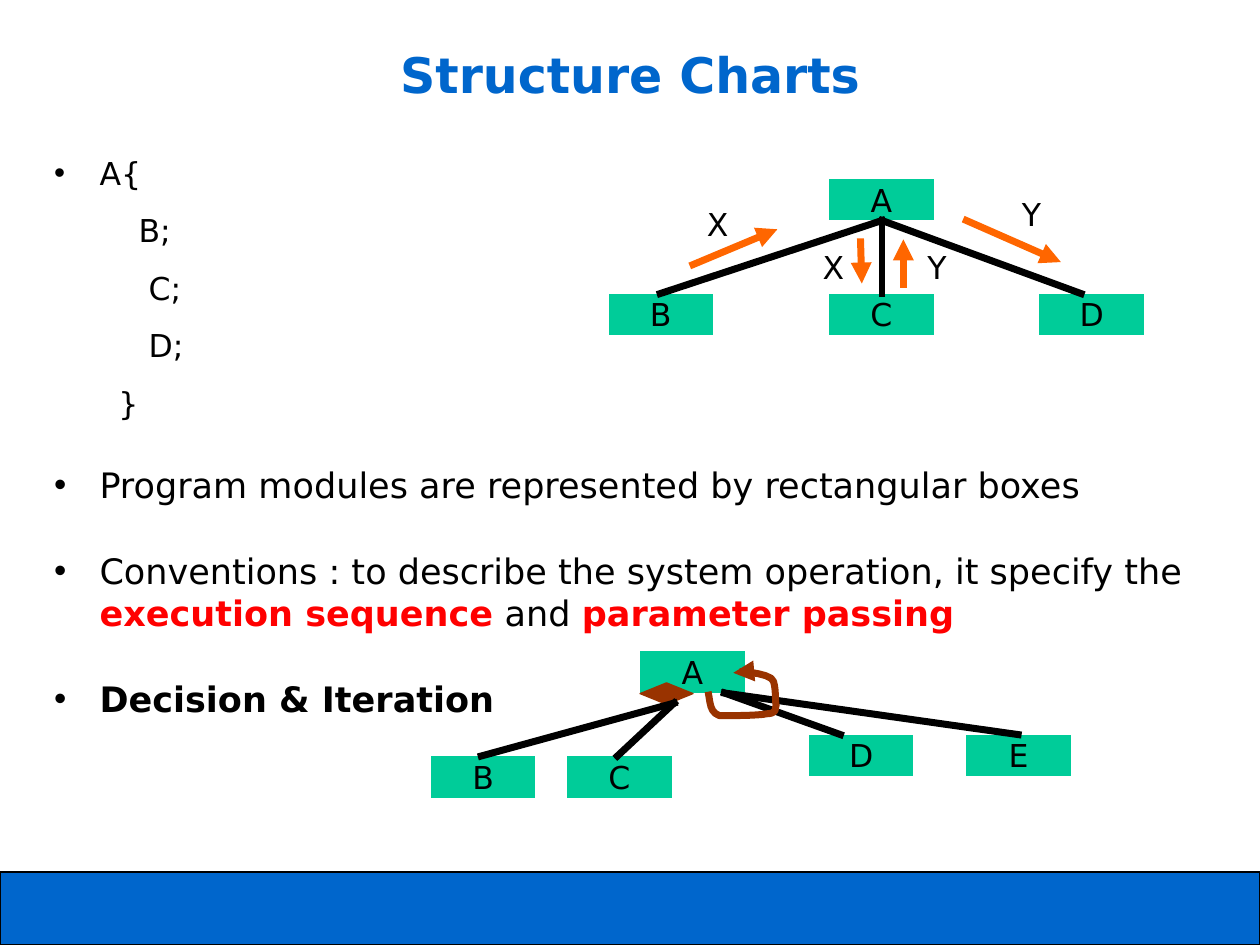
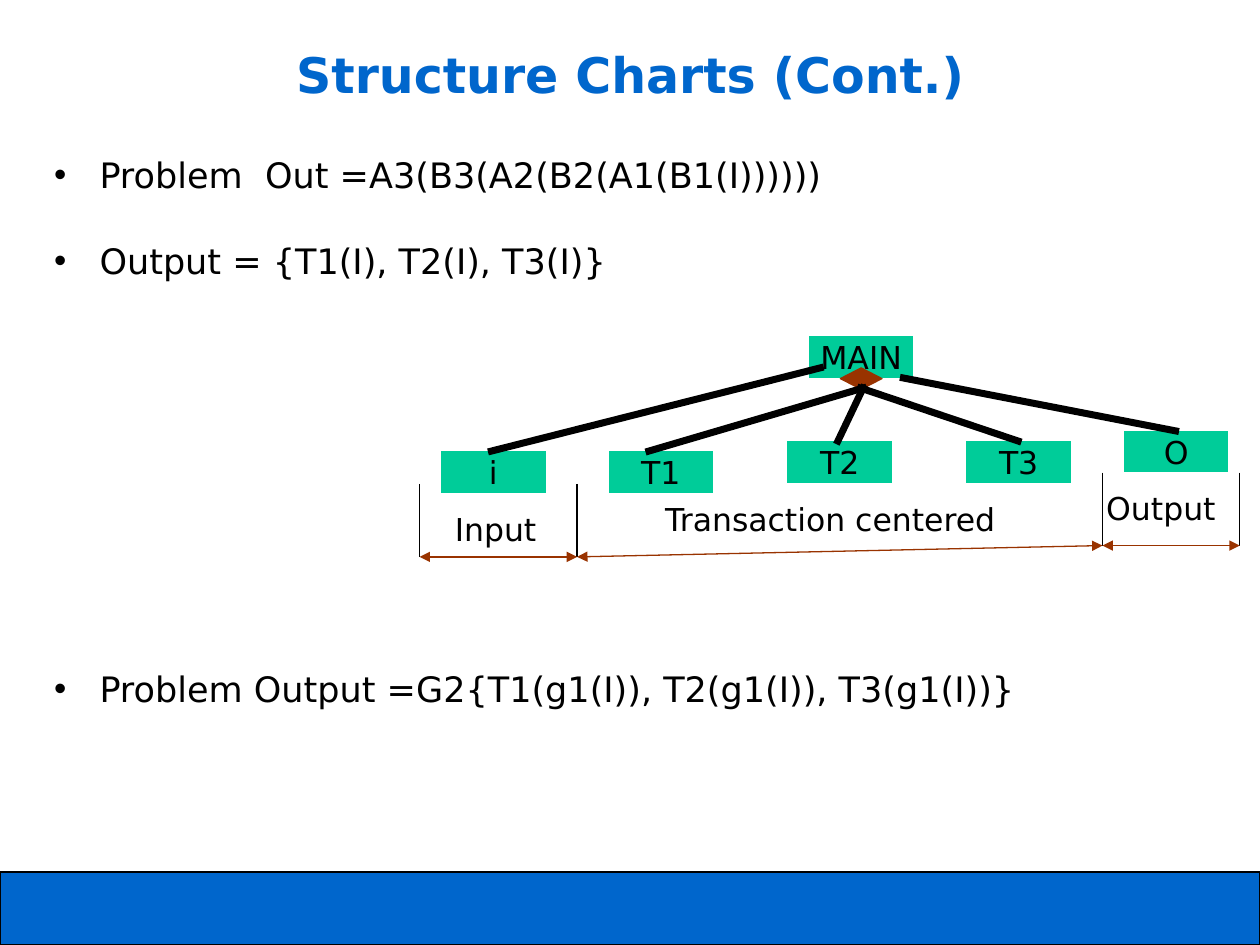
from itertools import pairwise

from lxml.etree import SubElement
from pptx import Presentation
from pptx.dml.color import RGBColor
from pptx.enum.shapes import MSO_CONNECTOR, MSO_SHAPE
from pptx.enum.text import MSO_ANCHOR, MSO_AUTO_SIZE, PP_ALIGN
from pptx.oxml.ns import qn
from pptx.util import Inches, Pt

FONT = "DejaVu Sans"
BLUE, GREEN, ORANGE, BROWN = "0066CC", "00CC99", "FF6600", "993300"
BLACK, RED = "000000", "FF0000"
THIN, THICK = 0.74, 4
MODULE_WIDTH, MODULE_HEIGHT = 0.83, 0.33

PLACEHOLDER_FRAME = {"vertical_anchor": MSO_ANCHOR.TOP, "word_wrap": True,
                     "auto_size": MSO_AUTO_SIZE.NONE}
MODULE_FRAME = {"vertical_anchor": MSO_ANCHOR.MIDDLE, "word_wrap": False}
LABEL_FRAME = {"word_wrap": True, "margin_left": Inches(0.11)}
CODE = {"space_before": Pt(5.6), "space_after": Pt(5.6), "level": 1}
CODE_HEAD = {"space_before": Pt(16.9), "space_after": Pt(5.6)}
POINT = {"space_before": Pt(18.7), "space_after": Pt(6.2)}
POINT_BELOW_CHART = {**POINT, "space_before": Pt(214.7)}


def color(value):
    return RGBColor.from_string(value)


def apply(target, values):
    for name, value in values.items():
        setattr(target, name, value)


def place(shape, left, top, width, height):
    apply(shape, {"left": Inches(left), "top": Inches(top),
                  "width": Inches(width), "height": Inches(height)})


def add_span(para, text, size=18, fill=BLACK, bold=False):
    span = para.add_run()
    span.text = text
    apply(span.font, {"name": FONT, "size": Pt(size), "bold": bold})
    span.font.color.rgb = color(fill)


def set_outline(shape, fill, width):
    shape.line.color.rgb = color(fill)
    shape.line.width = Pt(width)


def add_block(page, kind, bounds, fill, outline=None):
    block = page.shapes.add_shape(kind, *map(Inches, bounds))
    block.shadow.inherit = False
    block.fill.solid()
    block.fill.fore_color.rgb = color(fill)
    if outline:
        set_outline(block, outline, THIN)
    else:
        block.line.fill.background()
    return block


def add_module(page, name, left, top):
    bounds = (left, top, MODULE_WIDTH, MODULE_HEIGHT)
    box = add_block(page, MSO_SHAPE.FLOWCHART_PROCESS, bounds, GREEN)
    apply(box.text_frame, MODULE_FRAME)
    para = box.text_frame.paragraphs[0]
    para.alignment = PP_ALIGN.CENTER
    add_span(para, name)


def add_decision(page, left, top, width):
    bounds = (left, top, width, 0.17)
    add_block(page, MSO_SHAPE.FLOWCHART_DECISION, bounds, BROWN, BROWN)


def add_label(page, text, left, top, width=0.33):
    box = page.shapes.add_textbox(*map(Inches, (left, top, width, 0.4)))
    apply(box.text_frame, LABEL_FRAME)
    add_span(box.text_frame.paragraphs[0], text)


def add_line(page, start, end, fill=BLACK, width=THICK, arrows=()):
    line = page.shapes.add_connector(
        MSO_CONNECTOR.STRAIGHT, *map(Inches, (*start, *end)))
    set_outline(line, fill, width)
    outline = line.element.spPr.find(qn("a:ln"))
    if width == THICK:
        outline.set("cap", "sq")
    for arrow in arrows:
        SubElement(outline, qn(f"a:{arrow}"), type="triangle")
    SubElement(line.element.spPr, qn("a:effectLst"))


def curve_points(start, curves, steps=6):
    points = [start]
    for first, second, end in curves:
        origin = points[-1]
        for step in range(1, steps + 1):
            t = step / steps
            weights = ((1 - t) ** 3, 3 * t * (1 - t) ** 2, 3 * t * t * (1 - t), t ** 3)
            corners = (origin, first, second, end)
            points.append(tuple(sum(weight * corner[axis]
                                    for weight, corner in zip(weights, corners))
                                for axis in (0, 1)))
    return points


def add_iteration_loop(page):
    points = curve_points((5.62, 5.49), [
        ((5.64, 5.58), (5.63, 5.65), (5.71, 5.68)),
        ((5.83, 5.68), (5.95, 5.68), (6.06, 5.67)),
        ((6.09, 5.66), (6.12, 5.67), (6.14, 5.65)),
        ((6.16, 5.64), (6.15, 5.62), (6.16, 5.6)),
        ((6.15, 5.54), (6.16, 5.48), (6.14, 5.41)),
        ((6.13, 5.35), (5.92, 5.33), (5.87, 5.33)),
    ])
    start, *others = [(Inches(x), Inches(y)) for x, y in points]
    builder = page.shapes.build_freeform(*start)
    builder.add_line_segments(others, close=False)
    loop = builder.convert_to_shape()
    loop.shadow.inherit = False
    loop.fill.background()
    set_outline(loop, BROWN, THICK)
    add_line(page, (5.93, 5.33), (5.82, 5.34), BROWN, arrows=["tailEnd"])


def add_footer_band(deck, page):
    band = add_block(page, MSO_SHAPE.RECTANGLE, (0, 6.92, 10, 0.58), BLUE, BLACK)
    deck.slide_master.shapes.element.append(band.element)


def add_page(deck, title):
    page = deck.slides.add_slide(deck.slide_layouts[1])
    heading = page.shapes.title
    place(heading, 0.5, 0.3, 9, 0.78)
    apply(heading.text_frame, PLACEHOLDER_FRAME)
    para = heading.text_frame.paragraphs[0]
    para.alignment = PP_ALIGN.CENTER
    add_span(para, title, 28, BLUE, True)
    body = page.placeholders[1]
    place(body, 0.33, 1.17, 9.33, 5.58)
    apply(body.text_frame, PLACEHOLDER_FRAME)
    return page


def add_body_para(page, spans, values, size, margin=0.36, bullet=True):
    frame = page.placeholders[1].text_frame
    para = frame.paragraphs[0] if not frame.text else frame.add_paragraph()
    apply(para, values)
    properties = para._p.get_or_add_pPr()
    properties.set("marL", str(Inches(margin)))
    properties.set("indent", str(Inches(-0.36 if bullet else 0)))
    if not bullet:
        SubElement(properties, qn("a:buNone"))
    for text, *style in spans:
        add_span(para, text, size, *style)


def add_points(page, points, values=POINT):
    for spans in points:
        add_body_para(page, spans, values, 20)


def build_parameter_chart(page):
    add_module(page, "A", 6.58, 1.42)
    for name, left in (("D", 8.25), ("C", 6.58), ("B", 4.83)):
        add_module(page, name, left, 2.33)
    for left in (5.24, 7, 8.58):
        add_line(page, (7, 1.75), (left, 2.33))
    for start, end in (((5.5, 2.1), (6.17, 1.82)), ((6.83, 1.92), (6.84, 2.25)),
                       ((7.17, 2.26), (7.17, 1.9)), ((7.67, 1.75), (8.42, 2.08))):
        add_line(page, start, end, ORANGE, arrows=["tailEnd"])
    for text, left, top in (("X", 5.5, 1.58), ("X", 6.42, 1.92),
                            ("Y", 7.25, 1.92), ("Y", 8, 1.5)):
        add_label(page, text, left, top)


def build_decision_chart(page):
    for name, left, top in (("A", 5.08, 5.17), ("B", 3.42, 6), ("C", 4.5, 6),
                            ("D", 6.42, 5.83), ("E", 7.67, 5.83)):
        add_module(page, name, left, top)
    add_decision(page, 5.08, 5.42, 0.42)
    for left in (3.82, 4.9):
        add_line(page, (5.35, 5.58), (left, 6))
    for left in (6.67, 8.08):
        add_line(page, (5.75, 5.5), (left, 5.83))
    add_iteration_loop(page)


def build_transaction_chart(page):
    for name, left, top in (("MAIN", 6.42, 2.67), ("i", 3.5, 3.58), ("T1", 4.83, 3.58),
                            ("T2", 6.25, 3.5), ("T3", 7.67, 3.5), ("O", 8.92, 3.42)):
        add_module(page, name, left, top)
    add_decision(page, 6.67, 2.92, 0.33)
    for start, end in (((6.51, 2.92), (3.9, 3.58)), ((6.85, 3.08), (5.15, 3.58)),
                       ((6.85, 3.08), (6.65, 3.5)), ((6.83, 3.08), (8.08, 3.5)),
                       ((7.17, 3), (9.33, 3.42))):
        add_line(page, start, end)
    limits = [(3.33, 4.42), (4.58, 4.42), (8.75, 4.33), (9.84, 4.33)]
    for left, bottom in limits:
        add_line(page, (left, bottom - 0.58), (left, bottom), width=THIN)
    for start, end in pairwise(limits):
        add_line(page, start, end, BROWN, THIN, ["headEnd", "tailEnd"])
    for text, left, top, width in (("Input", 3.5, 4, 0.92), ("Output", 8.67, 3.83, 1.17),
                                   ("Transaction centered", 5.17, 3.92, 3)):
        add_label(page, text, left, top, width)


def build_structure_page(deck):
    page = add_page(deck, "Structure Charts")
    add_footer_band(deck, page)
    add_body_para(page, [("A{",)], CODE_HEAD, 18)
    for text, margin in (("B;", 0.67), ("C;", 0.75), ("D;", 0.75), ("}", 0.51)):
        add_body_para(page, [(text,)], CODE, 18, margin, bullet=False)
    add_points(page, [
        [("Program modules are represented by rectangular boxes",)],
        [("Conventions : to describe the system operation, it specify the ",),
         ("execution sequence", RED, True), (" and ",),
         ("parameter passing", RED, True)],
        [("Decision & Iteration", BLACK, True)],
    ])
    build_parameter_chart(page)
    build_decision_chart(page)


def build_continued_page(deck):
    page = add_page(deck, "Structure Charts (Cont.)")
    add_points(page, [[("Problem  Out =A3(B3(A2(B2(A1(B1(I))))))",)],
                      [("Output = {T1(I), T2(I), T3(I)}",)]])
    add_points(page, [[("Problem Output =G2{T1(g1(I)), T2(g1(I)), T3(g1(I))}",)]],
               POINT_BELOW_CHART)
    build_transaction_chart(page)


def main():
    deck = Presentation()
    apply(deck, {"slide_width": Inches(10), "slide_height": Inches(7.5)})
    build_structure_page(deck)
    build_continued_page(deck)
    deck.save("out.pptx")


main()
